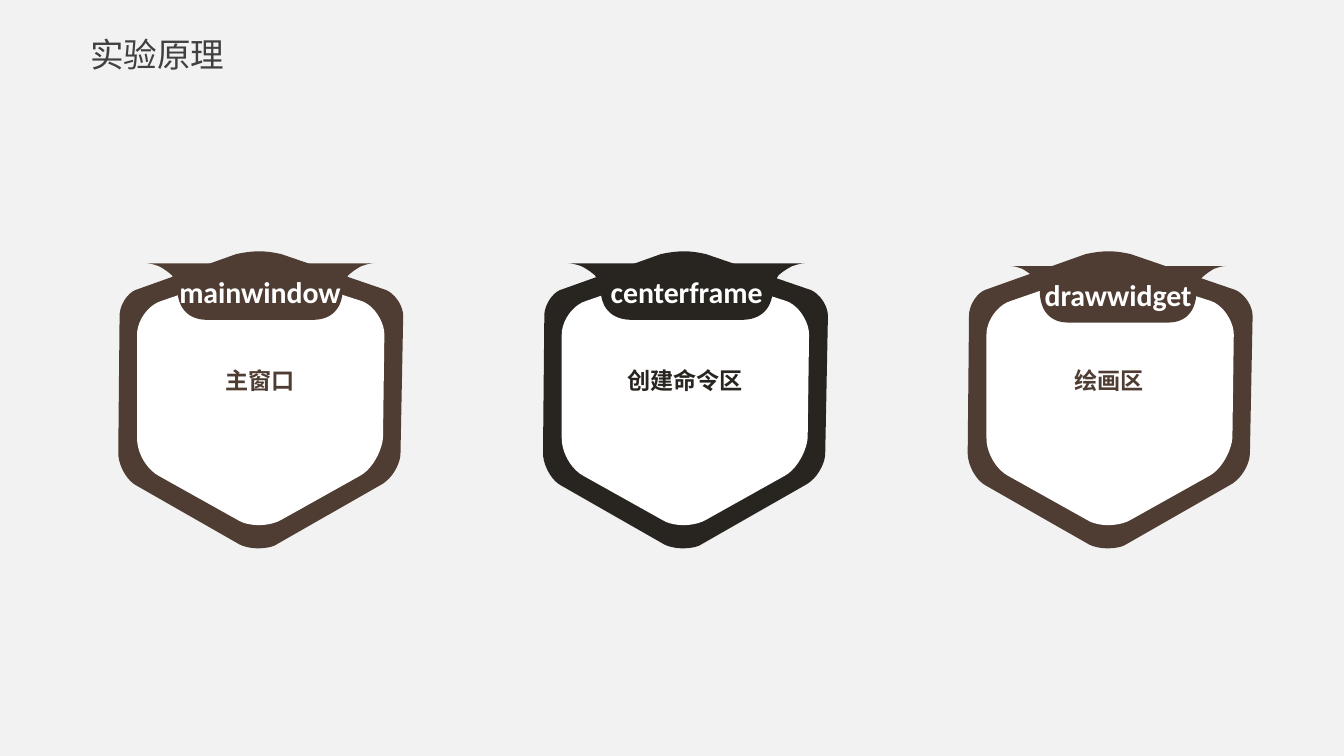
import pptx
import pptx.util
import pptx.dml.color
import pptx.enum.text

Inches = pptx.util.Inches
Pt = pptx.util.Pt
RGBColor = pptx.dml.color.RGBColor

BACKGROUND = RGBColor(0xF2, 0xF2, 0xF2)
BROWN = RGBColor(0x4F, 0x3D, 0x33)
DARK = RGBColor(0x28, 0x24, 0x20)
WHITE = RGBColor(0xFF, 0xFF, 0xFF)
TITLE_GREY = RGBColor(0x40, 0x40, 0x40)

BADGE_TOP = 1.87
CURVE_STEPS = 10

# Outlines in inches: a start point, then lines (x, y) and cubic curves (three points).
SHIELD = [
    (1.04, 2.21), (0.99, 2.21, 0.94, 2.2, 0.9, 2.18),
    (0.13, 1.74), (0.06, 1.7, 0, 1.59, 0, 1.5),
    (0.01, 0.48), (0.01, 0.4, 0.07, 0.3, 0.15, 0.28),
    (0.88, 0.02), (0.93, 0.01, 0.99, 0, 1.05, 0), (1.11, 0, 1.16, 0.01, 1.21, 0.02),
    (1.97, 0.28), (2.05, 0.3, 2.12, 0.4, 2.12, 0.48),
    (2.1, 1.5), (2.1, 1.59, 2.03, 1.7, 1.95, 1.74),
    (1.18, 2.18), (1.15, 2.2, 1.1, 2.21, 1.04, 2.21),
]
PANEL = [
    (0.3, 1.67), (0.21, 1.62, 0.14, 1.5, 0.14, 1.39),
    (0.14, 0.62), (0.14, 0.52, 0.22, 0.4, 0.32, 0.37),
    (0.87, 0.18), (0.97, 0.15, 1.12, 0.14, 1.22, 0.18),
    (1.81, 0.37), (1.9, 0.4, 1.98, 0.52, 1.98, 0.62),
    (1.97, 1.39), (1.96, 1.49, 1.89, 1.62, 1.8, 1.67),
    (1.21, 2), (1.12, 2.05, 0.97, 2.05, 0.89, 2),
]
# Left half of the banner; the right half mirrors it.
BANNER_WIDTH = 1.69
BANNER_HALF = [
    (0, 0), (0.03, 0, 0.06, 0.01, 0.09, 0.02),
    (0.13, 0.04, 0.17, 0.07, 0.19, 0.09),
    (0.2, 0.11, 0.22, 0.14, 0.23, 0.19),
    (0.23, 0.24, 0.24, 0.28, 0.26, 0.32),
    (0.3, 0.39, 0.37, 0.42, 0.45, 0.42),
]

# Badge left, banner left, top and width, name, description, colour
BADGES = [
    (0.88, 1.09, 1.96, 1.69, "mainwindow", "主窗口", BROWN),
    (4.04, 4.23, 1.96, 1.76, "centerframe", "创建命令区", DARK),
    (7.2, 7.52, 1.98, 1.6, "drawwidget", "绘画区", BROWN),
]


def trace(outline):
    """Turn lines and cubic curves into a list of points."""
    points = [outline[0]]
    for segment in outline[1:]:
        if len(segment) == 2:
            points.append(segment)
            continue
        x0, y0 = points[-1]
        x1, y1, x2, y2, x3, y3 = segment
        for step in range(1, CURVE_STEPS + 1):
            t = step / CURVE_STEPS
            a, b, c, d = (1 - t) ** 3, 3 * t * (1 - t) ** 2, 3 * t ** 2 * (1 - t), t ** 3
            points.append((a * x0 + b * x1 + c * x2 + d * x3,
                           a * y0 + b * y1 + c * y2 + d * y3))
    return points


def banner_points(width):
    scale = width / BANNER_WIDTH
    half = [(x * scale, y) for x, y in trace(BANNER_HALF)]
    return half + [(width - x, y) for x, y in reversed(half)]


def add_outline(group, points, left, top, color):
    vertices = [(Inches(left + x), Inches(top + y)) for x, y in points]
    builder = group.shapes.build_freeform(*vertices[0])
    builder.add_line_segments(vertices[1:], close=True)
    shape = builder.convert_to_shape()
    shape.shadow.inherit = False
    shape.fill.solid()
    shape.fill.fore_color.rgb = color
    shape.line.fill.background()
    return shape


def set_text(frame, text, size, color, font="Calibri", bold=True,
             align=pptx.enum.text.PP_ALIGN.CENTER):
    para = frame.paragraphs[0]
    para.text = text
    para.alignment = align
    para.font.name = font
    para.font.size = Pt(size)
    para.font.bold = bold
    para.font.color.rgb = color
    return para


def add_description(group, text, left, color):
    box = group.shapes.add_textbox(Inches(left), Inches(2.75), Inches(1.79), Inches(0.19))
    frame = box.text_frame
    frame.word_wrap = False
    frame.margin_left = frame.margin_right = Inches(0.08)
    frame.margin_top = frame.margin_bottom = 0
    set_text(frame, text, 12.4, color).line_spacing = 0.9


def add_badge(slide, left, banner_left, banner_top, banner_width, name, description, color):
    group = slide.shapes.add_group_shape()
    add_outline(group, trace(SHIELD), left, BADGE_TOP, color)
    add_outline(group, trace(PANEL), left, BADGE_TOP, WHITE)
    banner = add_outline(group, banner_points(banner_width), banner_left, banner_top, color)
    banner.text_frame.word_wrap = False
    banner.text_frame.vertical_anchor = pptx.enum.text.MSO_ANCHOR.MIDDLE
    set_text(banner.text_frame, name, 16, WHITE)
    add_description(group, description, left + 0.16, color)


def place_title(slide, text):
    title = slide.shapes.title
    title.left, title.top = Inches(0.67), Inches(0.19)
    title.width, title.height = Inches(2.33), Inches(0.42)
    frame = title.text_frame
    frame.auto_size = pptx.enum.text.MSO_AUTO_SIZE.NONE
    frame.vertical_anchor = pptx.enum.text.MSO_ANCHOR.MIDDLE
    frame.margin_left = frame.margin_right = 0
    set_text(frame, text, 18, TITLE_GREY, "Noto Sans CJK SC", False,
             pptx.enum.text.PP_ALIGN.LEFT)


def main():
    # Widescreen page, 16:9
    deck = pptx.Presentation()
    deck.slide_width = Inches(10)
    deck.slide_height = deck.slide_width * 9 // 16
    slide = deck.slides.add_slide(deck.slide_layouts[5])

    # Background
    slide.background.fill.solid()
    slide.background.fill.fore_color.rgb = BACKGROUND

    # Badges and title
    for badge in BADGES:
        add_badge(slide, *badge)
    place_title(slide, "实验原理")

    deck.save("out.pptx")


if __name__ == "__main__":
    main()
